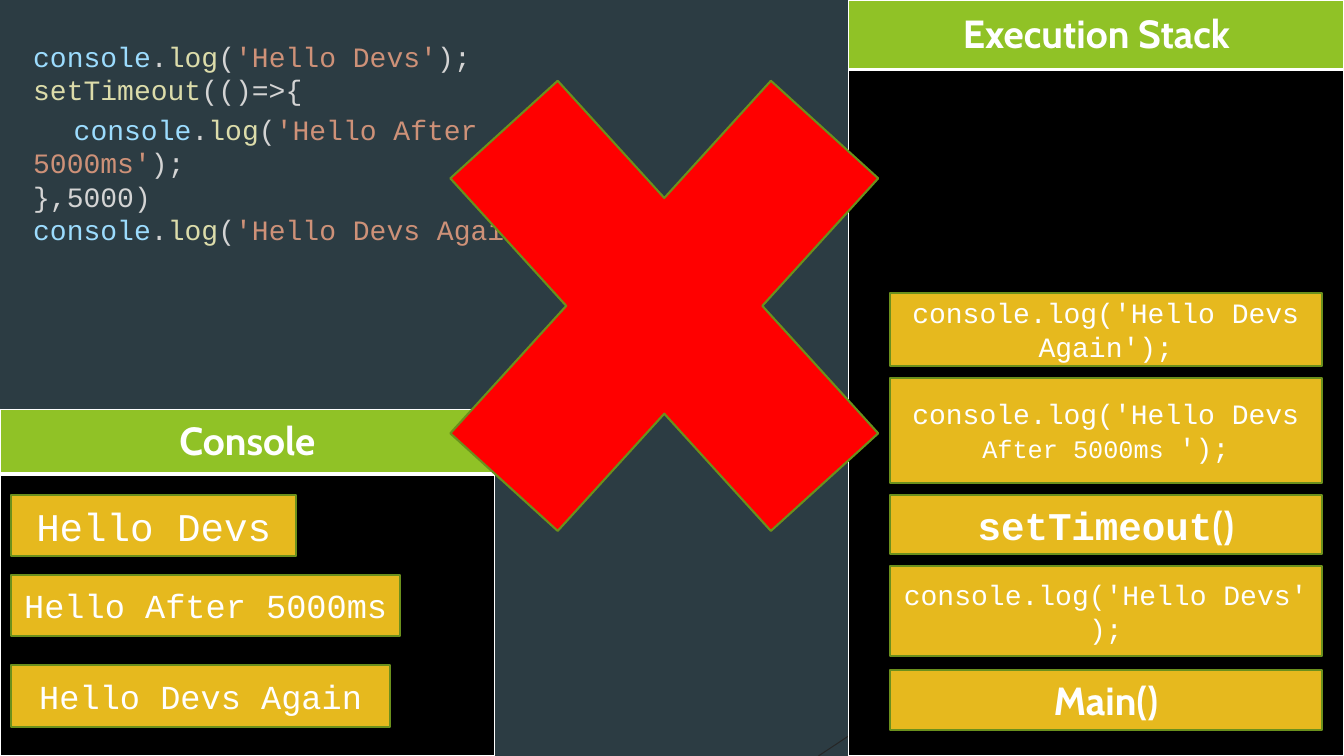
from lxml import etree
from pptx import Presentation
from pptx import util as u
from pptx.dml.color import RGBColor
from pptx.enum import shapes, text
from pptx.oxml import ns

Pt = u.Pt

SLATE = RGBColor(0x2C, 0x3C, 0x43)
GREEN = RGBColor(0x90, 0xC2, 0x26)
OLIVE = RGBColor(0x6B, 0x90, 0x1C)
GOLD = RGBColor(0xE6, 0xB9, 0x1E)
RED = RGBColor(0xFF, 0x00, 0x00)
BLACK = RGBColor(0x00, 0x00, 0x00)
WHITE = RGBColor(0xFF, 0xFF, 0xFF)
CHARCOAL = RGBColor(0x26, 0x26, 0x26)
# Code highlighting
PLAIN = RGBColor(0xD4, 0xD4, 0xD4)
OBJECT = RGBColor(0x9C, 0xDC, 0xFE)
FUNCTION = RGBColor(0xDC, 0xDC, 0xAA)
STRING = RGBColor(0xCE, 0x91, 0x78)

MONO, SANS = "Courier New", "Cabin"
HELLO = "Hello" + chr(160)  # no line break after the greeting
HELLO_DEVS = HELLO + "Devs"


def add_span(para, words, size, font=MONO, color=WHITE, bold=False):
    span = para.add_run()
    span.text = words
    span.font.size = Pt(size)
    span.font.name = font
    span.font.color.rgb = color
    span.font.bold = bold


def log_call(message):
    return [("console", OBJECT), (".", PLAIN), ("log", FUNCTION),
            ("(", PLAIN), (f"'{message}'", STRING), (");", PLAIN)]


def add_code(page, lines):
    box = page.shapes.add_textbox(Pt(16.6), Pt(0), Pt(427), Pt(316))
    frame = box.text_frame
    frame.word_wrap = True
    frame.margin_top = Pt(28)
    for index, (indent, spans) in enumerate(lines):
        para = frame.paragraphs[0] if index == 0 else frame.add_paragraph()
        if indent:
            para.space_before = Pt(4)
            properties = para._p.get_or_add_pPr()
            properties.set("marL", "0")
            properties.set("indent", str(Pt(indent)))
        for words, color in spans:
            add_span(para, words, 20, color=color)


def set_borders(cell, bottom):
    properties = cell._tc.get_or_add_tcPr()
    widths = {"lnL": 1, "lnR": 1, "lnT": 1, "lnB": bottom}
    for position, (side, width) in enumerate(widths.items()):
        line = etree.Element(ns.qn("a:" + side), w=str(Pt(width)))
        fill = etree.SubElement(line, ns.qn("a:solidFill"))
        etree.SubElement(fill, ns.qn("a:srgbClr"), val=str(WHITE))
        properties.insert(position, line)


def add_panel(page, title, left, top, width, heights):
    frame = page.shapes.add_table(2, 1, Pt(left), Pt(top), Pt(width), Pt(sum(heights)))
    table = frame.table
    for row, height, color, bottom in zip(table.rows, heights, (GREEN, BLACK), (3, 1)):
        row.height = Pt(height)
        cell = row.cells[0]
        cell.fill.solid()
        cell.fill.fore_color.rgb = color
        set_borders(cell, bottom)
    header = table.cell(0, 0)
    header.vertical_anchor = text.MSO_ANCHOR.MIDDLE
    para = header.text_frame.paragraphs[0]
    para.alignment = text.PP_ALIGN.CENTER
    add_span(para, title, 28, SANS, bold=True)


def add_outlined(page, kind, color, left, top, width, height):
    shape = page.shapes.add_shape(kind, Pt(left), Pt(top), Pt(width), Pt(height))
    shape.shadow.inherit = False
    shape.fill.solid()
    shape.fill.fore_color.rgb = color
    shape.line.color.rgb = OLIVE
    shape.line.width = Pt(1.5)
    return shape


def add_entry(page, left, top, width, height, *spans):
    box = add_outlined(page, shapes.MSO_SHAPE.RECTANGLE, GOLD, left, top, width, height)
    frame = box.text_frame
    frame.word_wrap = True
    frame.vertical_anchor = text.MSO_ANCHOR.MIDDLE
    para = frame.paragraphs[0]
    para.alignment = text.PP_ALIGN.CENTER
    for span in spans:
        add_span(para, *span)


def add_background_line(page):
    line = page.shapes.add_connector(shapes.MSO_CONNECTOR.STRAIGHT,
                                     Pt(960), Pt(290.2), Pt(584.6), Pt(540))
    line.line.color.rgb = CHARCOAL
    line.line.width = Pt(0.75)
    etree.SubElement(line._element.spPr, ns.qn("a:effectLst"))


def main():
    deck = Presentation()
    deck.slide_width, deck.slide_height = Pt(960), Pt(540)
    page = deck.slides.add_slide(deck.slide_layouts[6])
    page.background.fill.solid()
    page.background.fill.fore_color.rgb = SLATE
    add_background_line(page)

    # Source code: first-line indent and coloured spans
    add_code(page, [
        (0, log_call(HELLO_DEVS)),
        (0, [("setTimeout", FUNCTION), ("(()=>{", PLAIN)]),
        (29, log_call(HELLO + "After 5000ms")),
        (0, [("},5000)", PLAIN)]),
        (0, log_call(HELLO_DEVS + " Again")),
    ])

    # Panels
    add_panel(page, "Console", 0, 292.4, 353.5, (46, 201.6))
    add_panel(page, "Execution Stack", 606.3, 0, 353.7, (49.7, 490.3))

    # Stack entries, from the bottom up
    stack = [
        (478.8, 42.5, [("Main()", 28, SANS, WHITE, True)]),
        (404.6, 64.1, [(f"console.log('{HELLO_DEVS}');", 20)]),
        (353.5, 42.5, [("setTimeout", 28, MONO, WHITE, True),
                       ("()", 28, SANS, WHITE, True)]),
        (270, 74.9, [(f"console.log('{HELLO_DEVS} ", 20),
                     ("After 5000ms ", 18), ("');", 20)]),
        (209.5, 51.8, [(f"console.log('{HELLO_DEVS} Again');", 20)]),
    ]
    for top, height, spans in stack:
        add_entry(page, 635.8, top, 308.2, height, *spans)

    # Console output
    output = [
        (353.5, 203.8, HELLO_DEVS, 28),
        (410.4, 277.9, HELLO + "After 5000ms", 24),
        (475.2, 270.7, HELLO_DEVS + " Again", 24),
    ]
    for top, width, message, size in output:
        add_entry(page, 7.9, top, width, 43.9, (message, size))

    # Red cross over everything
    add_outlined(page, shapes.MSO_SHAPE.MATH_MULTIPLY, RED, 254.2, -23.8, 440.6, 484.6)

    deck.save("out.pptx")


if __name__ == "__main__":
    main()
